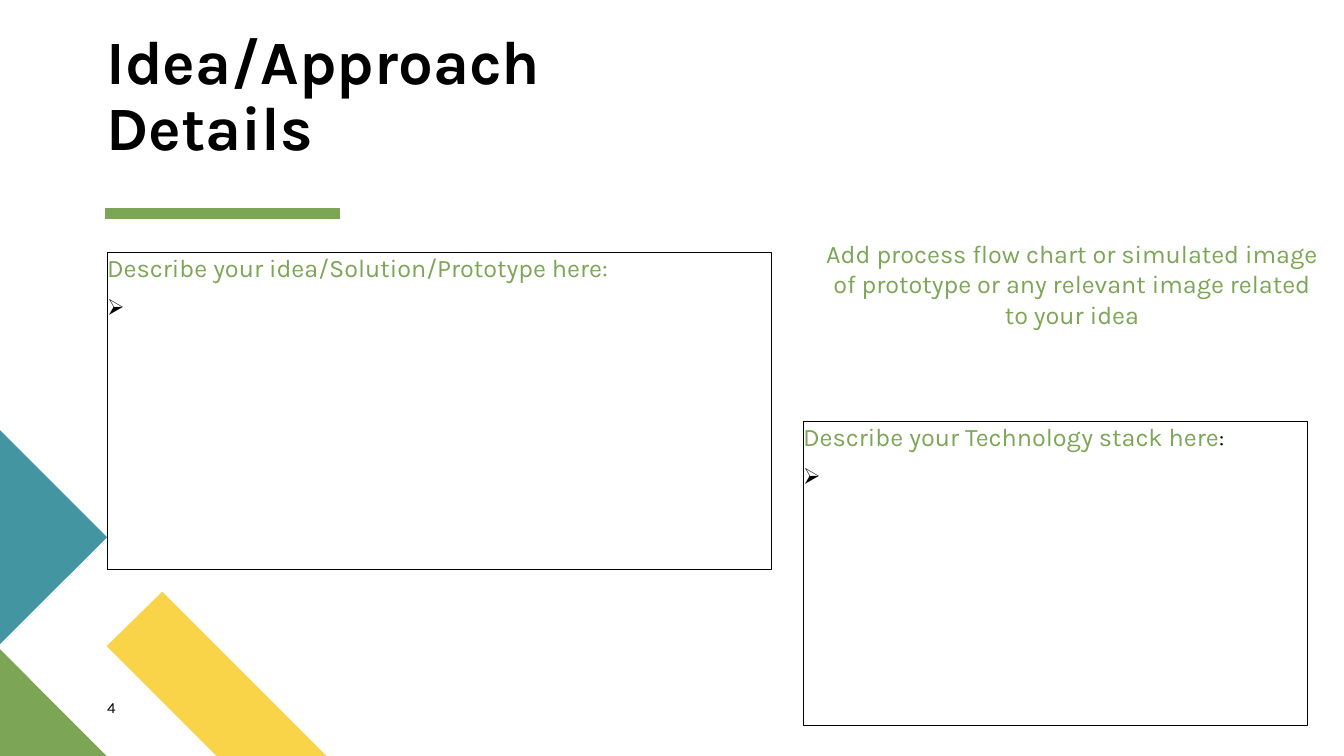
from pptx import Presentation
from pptx.dml.color import RGBColor
from pptx.enum.shapes import MSO_CONNECTOR, MSO_SHAPE
from pptx.enum.text import MSO_ANCHOR, PP_ALIGN
from pptx.oxml.ns import qn
from pptx.util import Cm, Pt
from lxml import etree

RECTANGLE = MSO_SHAPE.RECTANGLE
STRAIGHT = MSO_CONNECTOR.STRAIGHT
TOP, BOTTOM = MSO_ANCHOR.TOP, MSO_ANCHOR.BOTTOM
LEFT, CENTER = PP_ALIGN.LEFT, PP_ALIGN.CENTER

THEME = {
    "font": "Karla",
    "bullet_font": "Wingdings",
    "black": RGBColor(0x00, 0x00, 0x00),
    "green": RGBColor(0x7C, 0xA6, 0x55),
    "teal": RGBColor(0x44, 0x95, 0xA2),
    "yellow": RGBColor(0xF9, 0xD4, 0x48),
    "title": Pt(44),
    "heading": Pt(18),
    "bullet": Pt(16),
    "number": Pt(11),
}


def set_frame(shape, anchor=TOP, side=0, top=0):
    """Wrap the text of a shape, set its anchor and margins, return its frame."""
    frame = shape.text_frame
    frame.word_wrap = True
    frame.vertical_anchor = anchor
    frame.margin_left = frame.margin_right = Cm(side)
    frame.margin_top = frame.margin_bottom = Cm(top)
    return frame


def add_span(para, text, size, color, bold=False):
    """Add one formatted run to a paragraph."""
    span = para.add_run()
    span.text = text
    span.font.name = THEME["font"]
    span.font.size = THEME[size]
    span.font.color.rgb = THEME[color]
    span.font.bold = bold


deck = Presentation()
deck.slide_width, deck.slide_height = Cm(33.87), Cm(19.05)
page = deck.slides.add_slide(deck.slide_layouts[6])
shapes = page.shapes

# Corner decoration
corner_pieces = [
    ("yellow", [(8.23, 19.05), (5.46, 19.05), (2.69, 16.28), (4.09, 14.91)]),
    ("green", [(2.69, 19.05), (0, 19.05), (0, 16.36)]),
    ("teal", [(0, 10.84), (2.7, 13.54), (0, 16.23)]),
]
for color, corners in corner_pieces:
    points = [(Cm(x), Cm(y)) for x, y in corners]
    builder = shapes.build_freeform(*points[0])
    builder.add_line_segments(points[1:], close=True)
    piece = builder.convert_to_shape()
    piece.shadow.inherit = False
    piece.fill.solid()
    piece.fill.fore_color.rgb = THEME[color]
    piece.line.fill.background()

# Rule under the title
rule = shapes.add_connector(STRAIGHT, Cm(2.65), Cm(5.38), Cm(8.58), Cm(5.38))
rule.line.color.rgb = THEME["green"]
rule.line.width = Pt(8)
etree.SubElement(rule._element.spPr, qn("a:effectLst"))

# Title, page number and hint for the illustration
title = shapes.add_textbox(Cm(2.68), Cm(2.44), Cm(15.37), Cm(1.7))
para = set_frame(title, BOTTOM).paragraphs[0]
para.line_spacing = 0.9
add_span(para, "Idea/Approach Details", "title", "black", bold=True)

number = shapes.add_textbox(Cm(2.7), Cm(17.58), Cm(1.45), Cm(0.69))
add_span(set_frame(number).paragraphs[0], "4", "number", "black")

hint = shapes.add_textbox(Cm(20.5), Cm(5.88), Cm(13.03), Cm(2.57))
para = set_frame(hint, side=0.25, top=0.13).paragraphs[0]
para.alignment = CENTER
add_span(para, "Add process flow chart or simulated image of prototype "
         "or any relevant image related to your idea", "heading", "green")

# Framed boxes to fill in: place, heading, black ending of the heading
framed_boxes = [
    ((2.7, 6.36, 16.74, 8), "Describe your idea/Solution/Prototype here:", ""),
    ((20.24, 10.62, 12.7, 7.67), "Describe your Technology stack here", ":"),
]
for place, heading, ending in framed_boxes:
    box = shapes.add_shape(RECTANGLE, *map(Cm, place))
    box.shadow.inherit = False
    box.fill.background()
    box.line.color.rgb = THEME["black"]
    box.line.width = Pt(0.75)
    frame = set_frame(box)

    para = frame.paragraphs[0]
    para.alignment = LEFT
    add_span(para, heading, "heading", "green")
    if ending:
        add_span(para, ending, "bullet", "black")

    # A bullet is drawn only when its paragraph holds a character
    para = frame.add_paragraph()
    para.alignment = LEFT
    para.space_before = Pt(10)
    add_span(para, " ", "bullet", "black")
    properties = para._p.get_or_add_pPr()
    properties.set("marL", str(Cm(0.79)))
    properties.set("indent", str(-Cm(0.79)))
    bullet_color = etree.SubElement(properties, qn("a:buClr"))
    etree.SubElement(bullet_color, qn("a:srgbClr"), val=str(THEME["black"]))
    # In the symbol font this character code is the arrowhead
    etree.SubElement(properties, qn("a:buFont"),
                     typeface=THEME["bullet_font"], pitchFamily="2", charset="2")
    etree.SubElement(properties, qn("a:buChar"), char="\u00d8")

deck.save("out.pptx")
